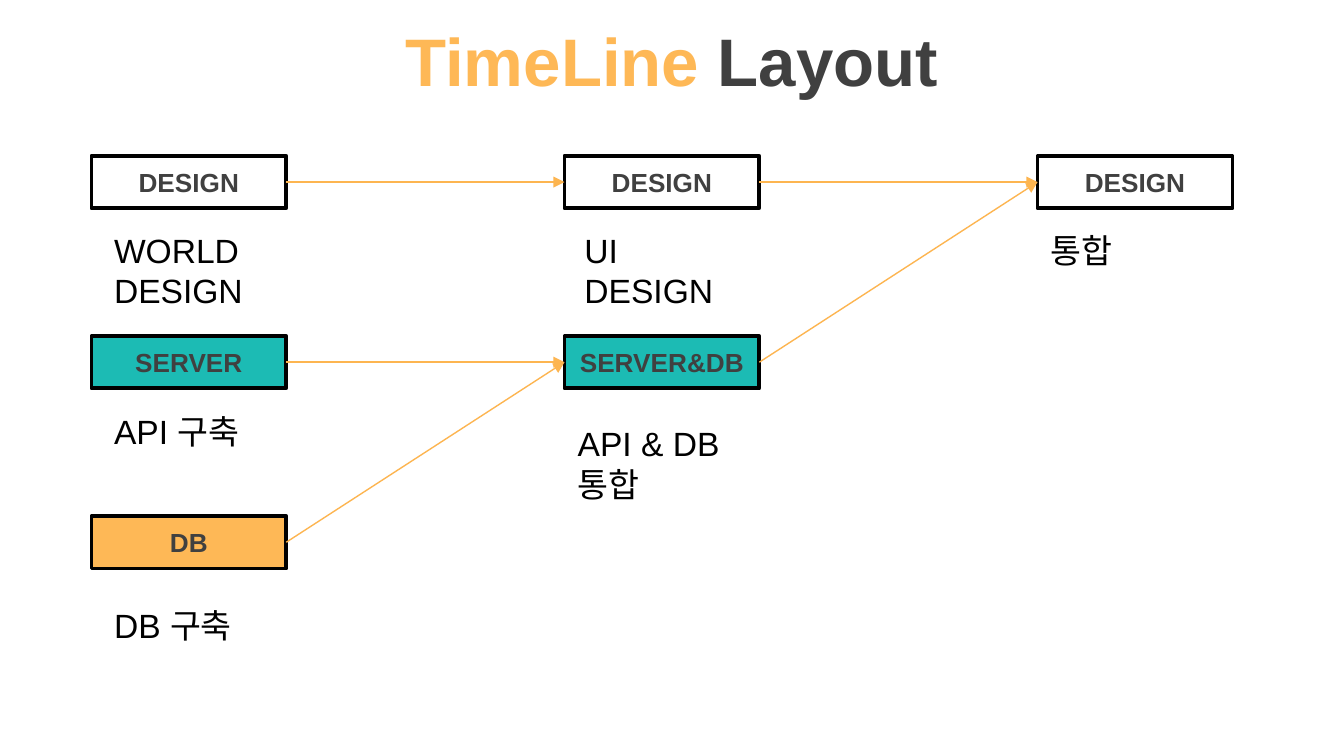
from dataclasses import dataclass

from lxml import etree
from pptx import Presentation
from pptx.dml.color import RGBColor
from pptx.enum.shapes import MSO_CONNECTOR, MSO_SHAPE
from pptx.enum.text import MSO_ANCHOR, PP_ALIGN
from pptx.oxml.ns import qn
from pptx.util import Inches, Pt

RECT = MSO_SHAPE.RECTANGLE
STRAIGHT = MSO_CONNECTOR.STRAIGHT
MIDDLE, TOP = MSO_ANCHOR.MIDDLE, MSO_ANCHOR.TOP
CENTER, LEFT = PP_ALIGN.CENTER, PP_ALIGN.LEFT

COLORS = {
    "white": "FFFFFF",
    "teal": "1CBBB4",
    "orange": "FEB856",
    "arrow": "FDB550",
    "gray": "404040",
    "black": "000000",
}
FONT = "Arial"
SLIDE_W = 10
SLIDE_H = SLIDE_W * 9 / 16
GRID_X, GRID_Y = 0.68, 1.16
COL_STEP, ROW_STEP = 3.52, 1.34
BOX_W, BOX_H = 1.45, 0.39


@dataclass(frozen=True)
class Stage:
    col: int
    row: int
    label: str
    fill: str
    caption: tuple[str, ...]
    dx: float
    dy: float
    caption_h: float = 0.4

    @property
    def left(self) -> float:
        return GRID_X + self.col * COL_STEP

    @property
    def top(self) -> float:
        return GRID_Y + self.row * ROW_STEP

    @property
    def mid(self) -> float:
        return self.top + BOX_H / 2


WORLD = Stage(0, 0, "DESIGN", "white", ("WORLD DESIGN",), 0.07, 0.5, 0.71)
SERVER = Stage(0, 1, "SERVER", "teal", ("API 구축",), 0.07, 0.51)
DB = Stage(0, 2, "DB", "orange", ("DB 구축",), 0.07, 0.61)
UI = Stage(1, 0, "DESIGN", "white", ("UI ", "DESIGN"), 0.05, 0.5, 0.71)
SERVER_DB = Stage(1, 1, "SERVER&DB", "teal", ("API & DB 통합",), 0, 0.6, 0.71)
MERGE = Stage(2, 0, "DESIGN", "white", ("통합",), 0, 0.5)

STAGES = (WORLD, SERVER, DB, UI, SERVER_DB, MERGE)
ARROWS = ((WORLD, UI), (UI, MERGE), (SERVER, SERVER_DB), (DB, SERVER_DB), (SERVER_DB, MERGE))


def rgb(name: str) -> RGBColor:
    return RGBColor.from_string(COLORS[name])


def write(sp, *paragraphs, size=18, bold=False, align=LEFT, anchor=TOP) -> None:
    tf = sp.text_frame
    tf.word_wrap = True
    tf.vertical_anchor = anchor
    for i, runs in enumerate(paragraphs):
        p = tf.add_paragraph() if i else tf.paragraphs[0]
        p.alignment = align
        for text, color in runs:
            r = p.add_run()
            r.text = text
            r.font.name = FONT
            r.font.size = Pt(size)
            r.font.bold = bold
            r.font.color.rgb = rgb(color)


def add_stage(s, stage: Stage) -> None:
    sp = s.shapes.add_shape(
        RECT, Inches(stage.left), Inches(stage.top), Inches(BOX_W), Inches(BOX_H)
    )
    sp.shadow.inherit = False
    sp.fill.solid()
    sp.fill.fore_color.rgb = rgb(stage.fill)
    sp.line.color.rgb = rgb("black")
    sp.line.width = Pt(2)
    write(sp, [(stage.label, "gray")], size=14, bold=True, align=CENTER, anchor=MIDDLE)

    caption = s.shapes.add_textbox(
        Inches(stage.left + stage.dx), Inches(stage.top + stage.dy),
        Inches(BOX_W), Inches(stage.caption_h),
    )
    write(caption, *([(line, "black")] for line in stage.caption))


def add_arrow(s, start: Stage, end: Stage) -> None:
    line = s.shapes.add_connector(
        STRAIGHT, Inches(start.left + BOX_W), Inches(start.mid),
        Inches(end.left), Inches(end.mid),
    )
    line.line.color.rgb = rgb("arrow")
    line.line.width = Pt(0.75)
    sp_pr = line._element.spPr
    etree.SubElement(sp_pr.find(qn("a:ln")), qn("a:tailEnd"), type="triangle")
    etree.SubElement(sp_pr, qn("a:effectLst"))


def main() -> None:
    prs = Presentation()
    prs.slide_width, prs.slide_height = Inches(SLIDE_W), Inches(SLIDE_H)
    s = prs.slides.add_slide(prs.slide_layouts[6])
    title = s.shapes.add_textbox(0, Inches(0.02), Inches(SLIDE_W), Inches(0.85))
    write(title, [("TimeLine", "orange"), (" Layout", "gray")],
          size=36, bold=True, align=CENTER, anchor=MIDDLE)
    for stage in STAGES:
        add_stage(s, stage)
    for start, end in ARROWS:
        add_arrow(s, start, end)
    prs.save("out.pptx")


main()
